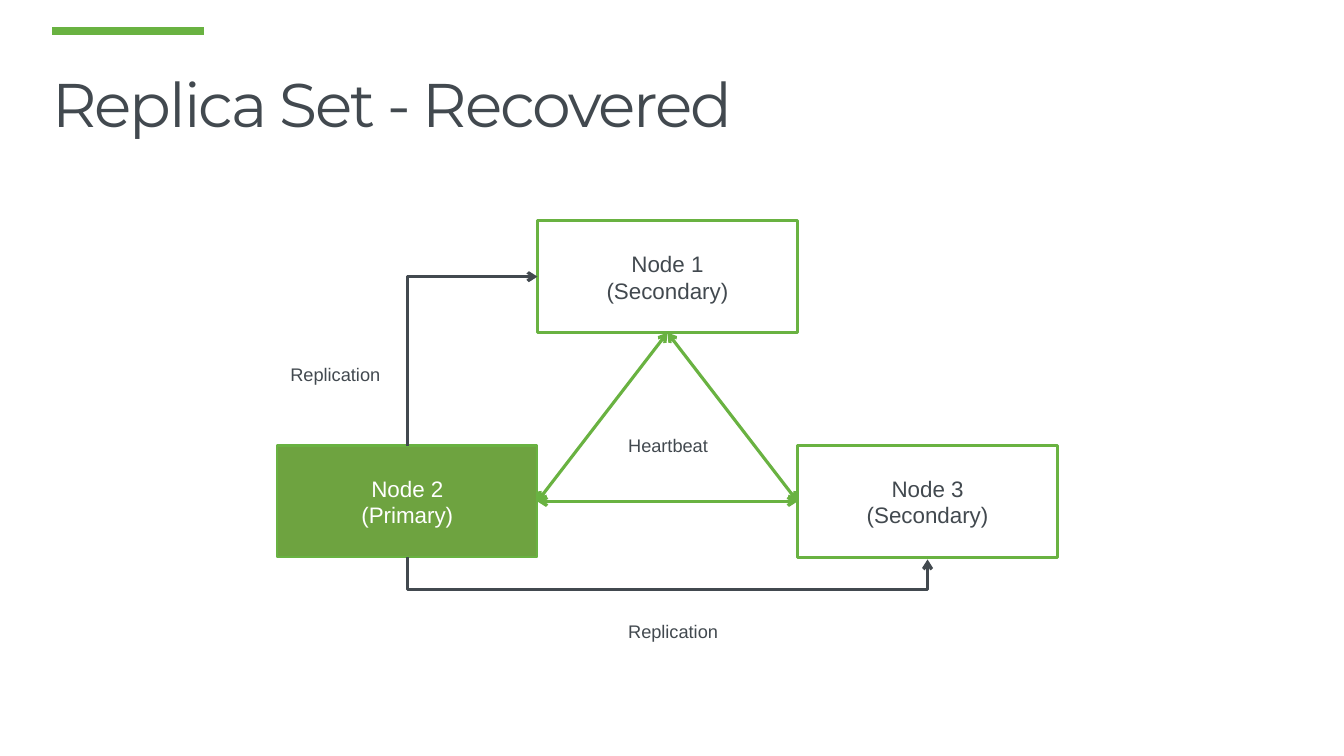
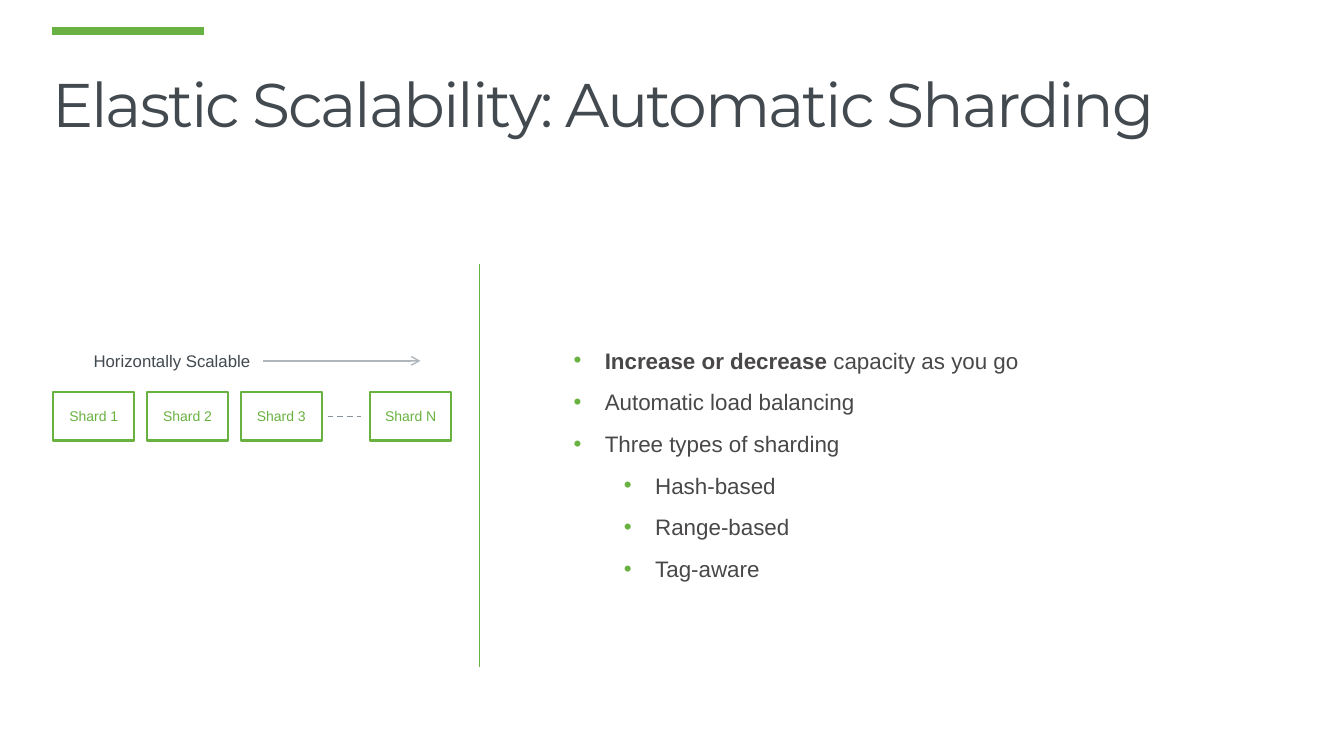
from lxml import etree
from pptx import Presentation
from pptx.dml.color import RGBColor
from pptx.enum.dml import MSO_LINE
from pptx.enum.shapes import MSO_CONNECTOR, MSO_SHAPE
from pptx.enum.text import MSO_ANCHOR, PP_ALIGN
from pptx.oxml.ns import qn
from pptx.util import Inches, Pt

RECT = MSO_SHAPE.RECTANGLE
STRAIGHT, ELBOW = MSO_CONNECTOR.STRAIGHT, MSO_CONNECTOR.ELBOW
LEFT, CENTER = PP_ALIGN.LEFT, PP_ALIGN.CENTER
MIDDLE, BOTTOM = MSO_ANCHOR.MIDDLE, MSO_ANCHOR.BOTTOM
DASH = MSO_LINE.DASH
TOP_SIDE, LEFT_SIDE, BOTTOM_SIDE, RIGHT_SIDE = range(4)

hue = RGBColor.from_string
GREEN, LEAF, INK, WHITE = "69B241", "6EA340", "42494F", "FFFFFF"
BODY, SLATE, MIST = "494747", "88929B", "AFB7BD"
WIDE, HIGH = 13.33, 7.5


def text(slide, words, box, size=16, color=INK, font="Arial", align=CENTER,
         anchor=MIDDLE, inset=0.1, wrap=True, fill=None, edge=None,
         tight=None, leading=None, levels=None, gap=0):
    """Add a text box, or a rectangle if fill is given.

    Each line of words is a paragraph; **marks** make bold text.
    Levels gives each paragraph a bullet at that depth.
    """
    area = [Inches(n) for n in box]
    if fill:
        shape = slide.shapes.add_shape(RECT, *area)
        shape.shadow.inherit = False
        shape.fill.solid()
        shape.fill.fore_color.rgb = hue(fill)
        shape.line.color.rgb = hue(GREEN)
        shape.line.width = Pt(edge)
    else:
        shape = slide.shapes.add_textbox(*area)
    frame = shape.text_frame
    frame.word_wrap = wrap
    frame.vertical_anchor = anchor
    frame.margin_left = frame.margin_right = Inches(inset)
    frame.margin_top = frame.margin_bottom = Inches(inset / 2)
    for i, row in enumerate(words.split("\n")):
        para = frame.add_paragraph() if i else frame.paragraphs[0]
        if levels:
            props = para._p.get_or_add_pPr()
            props.set("marL", str(Inches(0.31 + 0.5 * levels[i])))
            props.set("indent", str(Inches(-0.31)))
            tint = etree.SubElement(props, qn("a:buClr"))
            etree.SubElement(tint, qn("a:srgbClr"), val=GREEN)
            etree.SubElement(props, qn("a:buFont"), typeface="Arial")
            etree.SubElement(props, qn("a:buChar"), char="•")
            para.level = levels[i]
        para.alignment = align
        if leading:
            para.line_spacing = leading
        if i and gap:
            para.space_before = Pt(gap)
        for j, part in enumerate(row.split("**")):
            if part:
                run = para.add_run()
                run.text = part
                run.font.name, run.font.size = font, Pt(size)
                run.font.color.rgb = hue(color)
                run.font.bold = j % 2 == 1
                if tight:
                    run._r.get_or_add_rPr().set("spc", str(tight))
    return shape


def line(slide, start, end, color=GREEN, width=2.25, head=False, tail=False,
         dash=None, turn=0, bend=None):
    """Add a line; turn 1 or -1 makes an elbow that leaves upright.

    An elbow bends once, or twice if bend gives its depth below the start.
    """
    (x1, y1), (x2, y2) = start, end
    if turn:
        mid_x, mid_y = (x1 + x2) / 2, (y1 + y2) / 2
        dx, dy = turn * (y1 - mid_y), turn * (mid_x - x1)
        x1, y1, x2, y2 = mid_x + dx, mid_y + dy, mid_x - dx, mid_y - dy
    wire = slide.shapes.add_connector(ELBOW if turn else STRAIGHT,
                                      *[Inches(n) for n in (x1, y1, x2, y2)])
    wire.line.color.rgb = hue(color)
    wire.line.width = Pt(width)
    if dash:
        wire.line.dash_style = dash
    props = wire._element.spPr
    stroke = props.find(qn("a:ln"))
    for name, shown in (("a:headEnd", head), ("a:tailEnd", tail)):
        if shown:
            etree.SubElement(stroke, qn(name), type="arrow")
    etree.SubElement(props, qn("a:effectLst"))
    if turn:
        props.find(qn("a:xfrm")).set("rot", str(turn % 4 * 5400000))
        shape = props.find(qn("a:prstGeom"))
        if bend is None:
            shape.set("prst", "bentConnector2")
        else:
            ratio = round(bend / abs(x2 - x1) * 100000)
            etree.SubElement(shape.find(qn("a:avLst")), qn("a:gd"),
                             name="adj1", fmla=f"val {ratio}")
    return wire


deck = Presentation()
deck.slide_width, deck.slide_height = Inches(WIDE), Inches(HIGH)
pages = []
for title in ("Replica Set - Recovered", "Elastic Scalability: Automatic Sharding"):
    page = deck.slides.add_slide(deck.slide_layouts[6])
    line(page, (0.52, 0.31), (2.02, 0.31), width=6)
    text(page, title, (0.42, 0, 12.83, 1.45), size=44, font="Montserrat",
         align=LEFT, anchor=BOTTOM, tight=-150, leading=0.9)
    pages.append(page)
replica, shards = pages

# Replica set: three nodes on a grid of columns and rows
COL, ROW, TALL = 2.58, 2.23, 1.11
X0, Y0 = 2.75, 2.19
nodes = []
for name, role, col, row in (("Node 1", "Secondary", 1, 0),
                             ("Node 2", "Primary", 0, 1),
                             ("Node 3", "Secondary", 2, 1)):
    main = role == "Primary"
    nodes.append(text(replica, f"{name}\n({role})",
                      (X0 + col * COL, Y0 + row * ROW, COL, TALL), inset=0.13,
                      color=WHITE if main else INK, fill=LEAF if main else WHITE,
                      edge=1.5 if main else 2.25))
one, two, three = nodes

for left, top, wide, label in ((6.08, 4.24, 1.09, "Heartbeat"),
                               (2.73, 3.53, 1.19, "Replication"),
                               (6.08, 6.08, 1.19, "Replication")):
    text(replica, label, (left, top, wide, 0.36), size=13, inset=0.13, wrap=False)

mid, base = X0 + COL / 2, Y0 + ROW + TALL
line(replica, (mid, Y0 + ROW), (X0 + COL, Y0 + TALL / 2), INK, tail=True, turn=1)
line(replica, (mid, base), (mid + 2 * COL, base + 0.02), INK, tail=True,
     turn=-1, bend=0.32)
for first, side, last, goal in ((two, RIGHT_SIDE, one, BOTTOM_SIDE),
                                (one, BOTTOM_SIDE, three, LEFT_SIDE),
                                (two, RIGHT_SIDE, three, LEFT_SIDE)):
    beat = line(replica, (0, 0), (1, 1), head=True, tail=True)
    beat.begin_connect(first, side)
    beat.end_connect(last, goal)

# Sharding: a row of shards beside the bullets
line(shards, (4.75, 2.62), (4.75, 6.62), width=0.5)
text(shards, "**Increase or decrease** capacity as you go\n"
     "Automatic load balancing\nThree types of sharding\n"
     "Hash-based\nRange-based\nTag-aware",
     (5.59, 2.19, 6.65, 4.7), color=BODY, align=LEFT, leading=1.5,
     levels=(0, 0, 0, 1, 1, 1), gap=1)
for slot, mark in ((0, 1), (1, 2), (2, 3), (3.38, "N")):
    text(shards, f"Shard {mark}", (0.53 + slot * 0.93, 3.89, 0.8, 0.48),
         size=10, color=GREEN, fill=WHITE, edge=1.5)
line(shards, (3.25, 4.13), (3.58, 4.13), SLATE, 1, dash=DASH)
line(shards, (2.61, 3.58), (4.17, 3.58), MIST, 1, tail=True)
text(shards, "Horizontally Scalable", (0.83, 3.43, 1.77, 0.3), size=12,
     align=LEFT, wrap=False)

deck.save("out.pptx")
